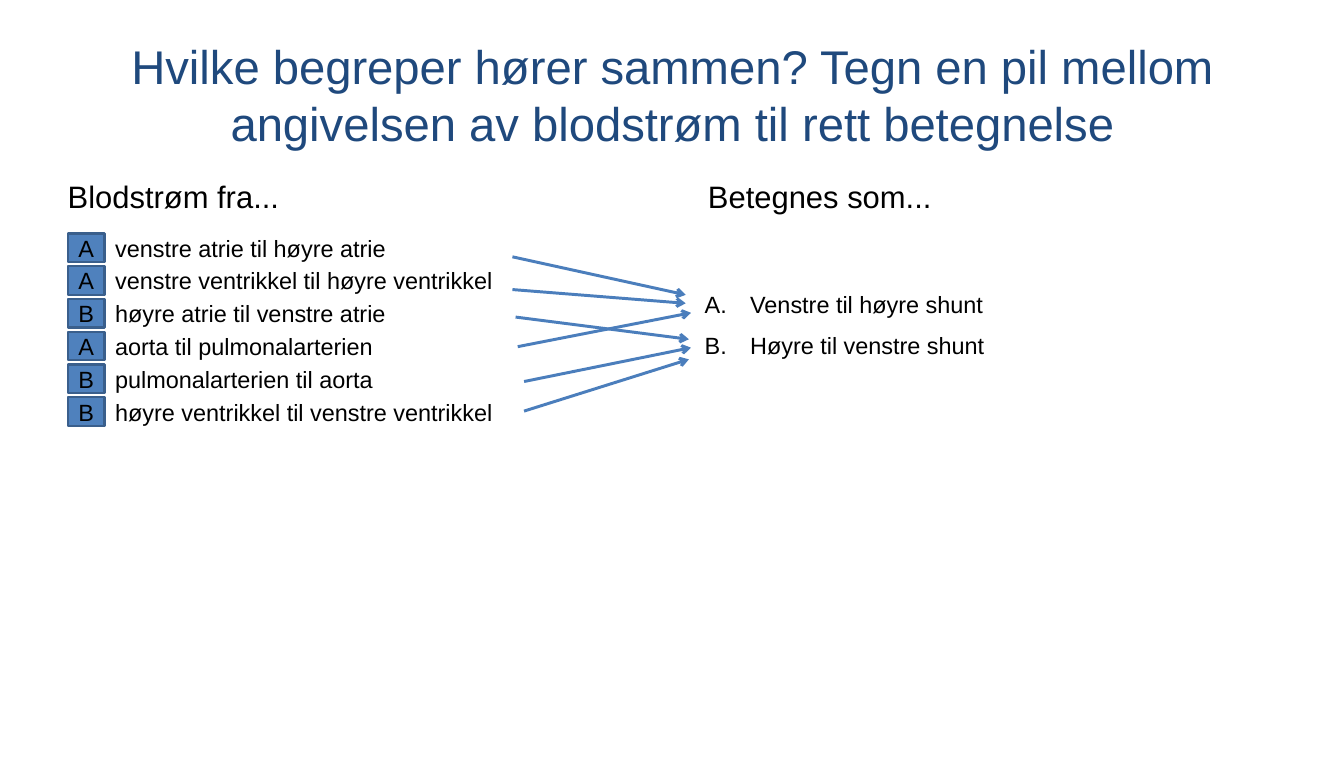
from lxml.etree import SubElement
from pptx import Presentation
from pptx.dml.color import RGBColor
from pptx.enum.shapes import MSO_CONNECTOR, MSO_SHAPE
from pptx.enum.text import MSO_ANCHOR, PP_ALIGN
from pptx.oxml.ns import qn
from pptx.util import Inches, Pt

NAVY = RGBColor(0x1F, 0x49, 0x7D)
BLACK = RGBColor(0, 0, 0)
BADGE_FILL = RGBColor(0x4F, 0x81, 0xBD)
BADGE_LINE = RGBColor(0x3A, 0x5F, 0x8C)
ARROW_COLOR = RGBColor(0x4B, 0x7E, 0xBC)

ROW_HEIGHT = 0.27
FLOWS = [
    ("A", "venstre atrie til høyre atrie"),
    ("A", "venstre ventrikkel til høyre ventrikkel"),
    ("B", "høyre atrie til venstre atrie"),
    ("A", "aorta til pulmonalarterien"),
    ("B", "pulmonalarterien til aorta"),
    ("B", "høyre ventrikkel til venstre ventrikkel"),
]
TERMS = [("A.", "Venstre til høyre shunt"), ("B.", "Høyre til venstre shunt")]
ARROWS = [
    ((4.85, 2.43), (6.49, 2.79)),
    ((4.85, 2.74), (6.49, 2.87)),
    ((4.88, 3.0), (6.52, 3.21)),
    ((4.9, 3.28), (6.54, 2.96)),
    ((4.96, 3.61), (6.54, 3.29)),
    ((4.96, 3.89), (6.52, 3.4)),
]


def write_text(shape, text, size, color=BLACK, align=PP_ALIGN.LEFT, anchor=MSO_ANCHOR.TOP):
    frame = shape.text_frame
    frame.word_wrap = True
    frame.vertical_anchor = anchor
    frame.margin_left = frame.margin_right = frame.margin_top = frame.margin_bottom = 0
    paragraph = frame.paragraphs[0]
    paragraph.text = text
    paragraph.alignment = align
    paragraph.font.name = "Arial"
    paragraph.font.size = Pt(size)
    paragraph.font.color.rgb = color


def add_text(slide, left, top, width, height, text, size, **style):
    box = slide.shapes.add_textbox(Inches(left), Inches(top), Inches(width), Inches(height))
    write_text(box, text, size, **style)


def add_badge(slide, left, top, letter):
    badge = slide.shapes.add_shape(
        MSO_SHAPE.RECTANGLE, Inches(left), Inches(top), Inches(0.35), Inches(ROW_HEIGHT))
    badge.shadow.inherit = False
    badge.fill.solid()
    badge.fill.fore_color.rgb = BADGE_FILL
    badge.line.color.rgb = BADGE_LINE
    badge.line.width = Pt(1.5)
    write_text(badge, letter, 16, align=PP_ALIGN.CENTER, anchor=MSO_ANCHOR.MIDDLE)


def add_title(slide, left, top, width, height):
    add_text(slide, left, top, width, height,
             "Hvilke begreper hører sammen? Tegn en pil mellom "
             "angivelsen av blodstrøm til rett betegnelse",
             32.2, color=NAVY, align=PP_ALIGN.CENTER, anchor=MSO_ANCHOR.MIDDLE)


def add_flow_column(slide, left, top, width):
    add_text(slide, left, top, width, 0.43, "Blodstrøm fra...", 21.1)
    for row, (letter, flow) in enumerate(FLOWS):
        row_top = top + 0.53 + row * 0.31
        add_badge(slide, left, row_top, letter)
        add_text(slide, left + 0.45, row_top, width - 0.45, ROW_HEIGHT, flow, 16,
                 anchor=MSO_ANCHOR.MIDDLE)


def add_term_column(slide, left, top, width):
    add_text(slide, left, top, width, 0.43, "Betegnes som...", 21.1)
    for row, (letter, term) in enumerate(TERMS):
        row_top = top + 1.06 + row * 0.39
        add_text(slide, left - 0.03, row_top, 0.43, ROW_HEIGHT, letter, 16)
        add_text(slide, left + 0.4, row_top, width - 0.57, ROW_HEIGHT, term, 16)


def add_arrow(slide, start, end):
    arrow = slide.shapes.add_connector(
        MSO_CONNECTOR.STRAIGHT, *(Inches(value) for value in start + end))
    arrow.line.color.rgb = ARROW_COLOR
    arrow.line.width = Pt(2)
    SubElement(arrow.line._get_or_add_ln(), qn("a:tailEnd"), type="arrow")
    SubElement(arrow._element.spPr, qn("a:effectLst"))


def main():
    presentation = Presentation()
    presentation.slide_width = Inches(12.72)
    presentation.slide_height = Inches(7.21)
    slide = presentation.slides.add_slide(presentation.slide_layouts[6])
    add_title(slide, 0.64, 0.29, 11.45, 1.2)
    add_flow_column(slide, 0.64, 1.68, 5.38)
    add_term_column(slide, 6.7, 1.68, 5.38)
    for start, end in ARROWS:
        add_arrow(slide, start, end)
    presentation.save("out.pptx")


if __name__ == "__main__":
    main()
